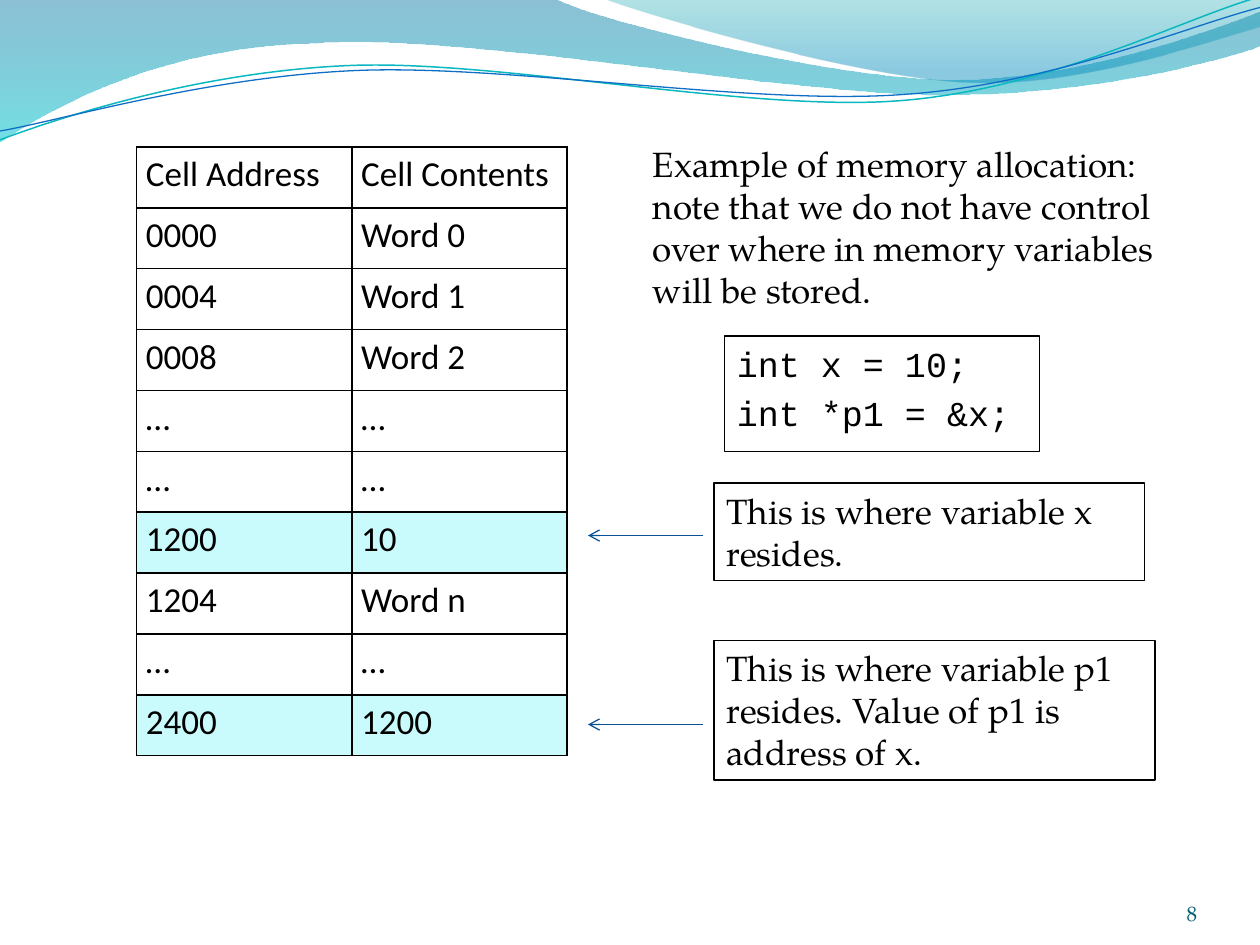
from math import cos, radians, sin
from lxml.etree import SubElement
from pptx import Presentation
from pptx.dml.color import RGBColor
from pptx.enum.shapes import MSO_CONNECTOR, MSO_SHAPE
from pptx.enum.text import MSO_ANCHOR, MSO_AUTO_SIZE, PP_ALIGN
from pptx.oxml import parse_xml
from pptx.oxml.ns import nsdecls, qn
from pptx.util import Emu, Inches, Pt

BLACK = RGBColor(0x00, 0x00, 0x00)
TINT = RGBColor(0xC9, 0xFA, 0xFC)
NAVY = RGBColor(0x09, 0x52, 0x95)
SLATE = RGBColor(0x04, 0x5D, 0x75)
AQUA = RGBColor(0x0A, 0xB8, 0xBF)
BLUE = RGBColor(0x0F, 0x6F, 0xC6)
DEEP = RGBColor(0x00, 0x74, 0xA1)
CYAN = RGBColor(0x00, 0xC6, 0xCF)
TEAL = RGBColor(0x00, 0xA1, 0xA9)
SKY = RGBColor(0x00, 0x8B, 0xBF)

SERIF, SANS, MONO = "TeX Gyre Pagella", "Calibri", "Courier New"
COLS, ROWS, TILT = 120, 90, 2.7

BANDS = [
    ([(0, 0), (4.4, -0.01), (4.76, 0.17, 6.64, 0.63, 7.58, 0.63),
      (8.53, 0.63, 9.58, 0.26, 10, 0.09), (10.01, 0.36),
      (9.83, 0.44, 8.7, 0.76, 7.46, 0.75), (6.22, 0.75, 3.82, 0.28, 2.57, 0.34),
      (1.29, 0.36, 0.46, 0.83, -0.01, 1.13), (0, 0)],
     [(0, DEEP, 45), (100, CYAN, 55)]),
    ([(4.79, -0.01), (5.09, 0.11, 6.82, 0.62, 7.69, 0.65),
      (8.56, 0.69, 9.61, 0.32, 10, 0.21), (10, 0), (4.79, -0.01)],
     [(0, TEAL, 30), (80, SKY, 45)]),
]
CURVES = [
    ([(0, 1.11), (0.48, 0.93, 1.58, 0.57, 2.77, 0.52),
      (3.95, 0.47, 5.93, 0.89, 7.13, 0.8), (8.33, 0.71, 9.38, 0.15, 9.98, -0.02)],
     (4.99, 0.57), AQUA, 0.85),
    ([(0, 1.04), (0.47, 0.96, 1.64, 0.61, 2.83, 0.56),
      (4.03, 0.51, 5.97, 0.84, 7.17, 0.75), (8.36, 0.67, 9.41, 0.21, 10, 0.06)],
     (5, 0.59), BLUE, 0.75),
]
CELLS = [
    ("Cell Address", "Cell Contents"),
    ("0000", "Word 0"), ("0004", "Word 1"), ("0008", "Word 2"),
    ("…", "…"), ("…", "…"), ("1200", "10"), ("1204", "Word n"),
    ("…", "…"), ("2400", "1200"),
]
MARKED = {6, 9}


def write(frame, text, font=SERIF, size=20, color=BLACK, align=PP_ALIGN.LEFT,
          lead=None, gap=0, hang=0):
    for i, line in enumerate(text.split("\n")):
        para = frame.add_paragraph() if i else frame.paragraphs[0]
        para.alignment = align
        if lead:
            para.line_spacing = lead
        if i and gap:
            para.space_before = Pt(gap)
        if hang:
            props = para._p.get_or_add_pPr()
            props.set("marL", str(Inches(hang)))
            props.set("indent", str(-Inches(hang)))
        run = para.add_run()
        run.text = line
        run.font.name, run.font.size = font, Pt(size)
        run.font.color.rgb = color


def turn(part, hub):
    angle, turned = radians(TILT), []
    for x, y in zip(part[::2], part[1::2]):
        dx, dy = x - hub[0], y - hub[1]
        turned += [hub[0] + dx * cos(angle) - dy * sin(angle),
                   hub[1] + dx * sin(angle) + dy * cos(angle)]
    return turned


class Deck:
    def __init__(self):
        self.prs = Presentation()
        self.prs.slide_width, self.prs.slide_height = Inches(10), Inches(7.5)
        self.shapes = self.prs.slides.add_slide(self.prs.slide_layouts[6]).shapes

    def grid(self, *spans):
        units = self.prs.slide_width / COLS, self.prs.slide_height / ROWS
        return [Emu(round(span * units[i % 2])) for i, span in enumerate(spans)]

    def outline(self, parts, close):
        points = [(Inches(x), Inches(y)) for part in parts
                  for x, y in zip(part[::2], part[1::2])]
        pen = self.shapes.build_freeform(*points[0])
        pen.add_line_segments(points[1:], close=close)
        shape = pen.convert_to_shape()
        shape.shadow.inherit = False
        steps = iter(list(shape._element.iter(qn("a:lnTo"))))
        for part in parts[1:]:
            first = next(steps)
            if len(part) == 6:
                first.tag = qn("a:cubicBezTo")
                for step in (next(steps), next(steps)):
                    first.append(step[0])
                    step.getparent().remove(step)
        return shape

    def band(self, parts, stops):
        shape = self.outline(parts, True)
        shape.line.fill.background()
        marks = "".join(
            f'<a:gs pos="{pos * 1000}"><a:srgbClr val="{color}">'
            f'<a:alpha val="{alpha * 1000}"/></a:srgbClr></a:gs>'
            for pos, color, alpha in stops)
        shape._element.spPr.find(qn("a:custGeom")).addnext(parse_xml(
            f'<a:gradFill {nsdecls("a")}><a:gsLst>{marks}</a:gsLst>'
            '<a:lin ang="5400000" scaled="0"/></a:gradFill>'))

    def curve(self, parts, hub, color, width):
        shape = self.outline([turn(part, hub) for part in parts], False)
        shape.rotation = -TILT
        shape.fill.background()
        shape.line.color.rgb, shape.line.width = color, Pt(width)

    def table(self, box, rows, marked):
        table = self.shapes.add_table(len(rows), len(rows[0]), *self.grid(*box)).table
        table.first_row = table.horz_banding = False
        for r, row in enumerate(rows):
            for c, text in enumerate(row):
                cell = table.cell(r, c)
                cell.margin_left = cell.margin_right = Pt(5.4)
                cell.margin_top = cell.margin_bottom = 0
                write(cell.text_frame, text, font=SANS, lead=1.15)
                self.border(cell)
                if r in marked:
                    cell.fill.solid()
                    cell.fill.fore_color.rgb = TINT
                else:
                    cell.fill.background()

    def border(self, cell):
        for side in ("lnL", "lnR", "lnT", "lnB"):
            line = SubElement(cell._tc.get_or_add_tcPr(), qn(f"a:{side}"), w=str(Pt(1)))
            fill = SubElement(line, qn("a:solidFill"))
            SubElement(fill, qn("a:srgbClr"), val=str(BLACK))

    def text(self, box, text, **fmt):
        self.fill(self.shapes.add_textbox(*self.grid(*box)), text, **fmt)

    def frame(self, box, text, **fmt):
        shape = self.shapes.add_shape(MSO_SHAPE.RECTANGLE, *self.grid(*box))
        shape.shadow.inherit = False
        shape.fill.background()
        shape.line.color.rgb, shape.line.width = BLACK, Pt(0.75)
        self.fill(shape, text, **fmt)

    def fill(self, shape, text, flush=False, grow=True, anchor=MSO_ANCHOR.TOP, **fmt):
        frame = shape.text_frame
        frame.word_wrap, frame.vertical_anchor = True, anchor
        if grow:
            frame.auto_size = MSO_AUTO_SIZE.SHAPE_TO_FIT_TEXT
        if flush:
            frame.margin_left = frame.margin_right = 0
            frame.margin_top = frame.margin_bottom = 0
        write(frame, text, **fmt)

    def arrow(self, *ends):
        line = self.shapes.add_connector(MSO_CONNECTOR.STRAIGHT, *self.grid(*ends))
        line.line.color.rgb, line.line.width = NAVY, Pt(0.75)
        SubElement(line.line._get_or_add_ln(), qn("a:tailEnd"), type="arrow")
        SubElement(line._element.spPr, qn("a:effectLst"))


def main():
    deck = Deck()
    for band in BANDS:
        deck.band(*band)
    for curve in CURVES:
        deck.curve(*curve)
    deck.text((104, 83.4, 10, 4.8), "8", flush=True, grow=False,
              anchor=MSO_ANCHOR.BOTTOM, size=12, color=SLATE, align=PP_ALIGN.RIGHT)
    deck.table((13, 14, 41, 58), CELLS, MARKED)
    deck.frame((68, 46, 41, 9.3), "This is where variable x resides.")
    deck.frame((68, 61, 42, 13.3),
               "This is where variable p1 resides. Value of p1 is address of x.")
    for row in (51, 69):
        deck.arrow(67, row, 56, row)
    deck.text((61, 13, 51, 17.4),
              "Example of memory allocation:\nnote that we do not have control "
              "over where in memory variables will be stored.")
    deck.frame((69, 32, 30, 11), "int x = 10;\nint *p1 = &x;",
               grow=False, font=MONO, gap=4, hang=0.3)
    deck.prs.save("out.pptx")


if __name__ == "__main__":
    main()
